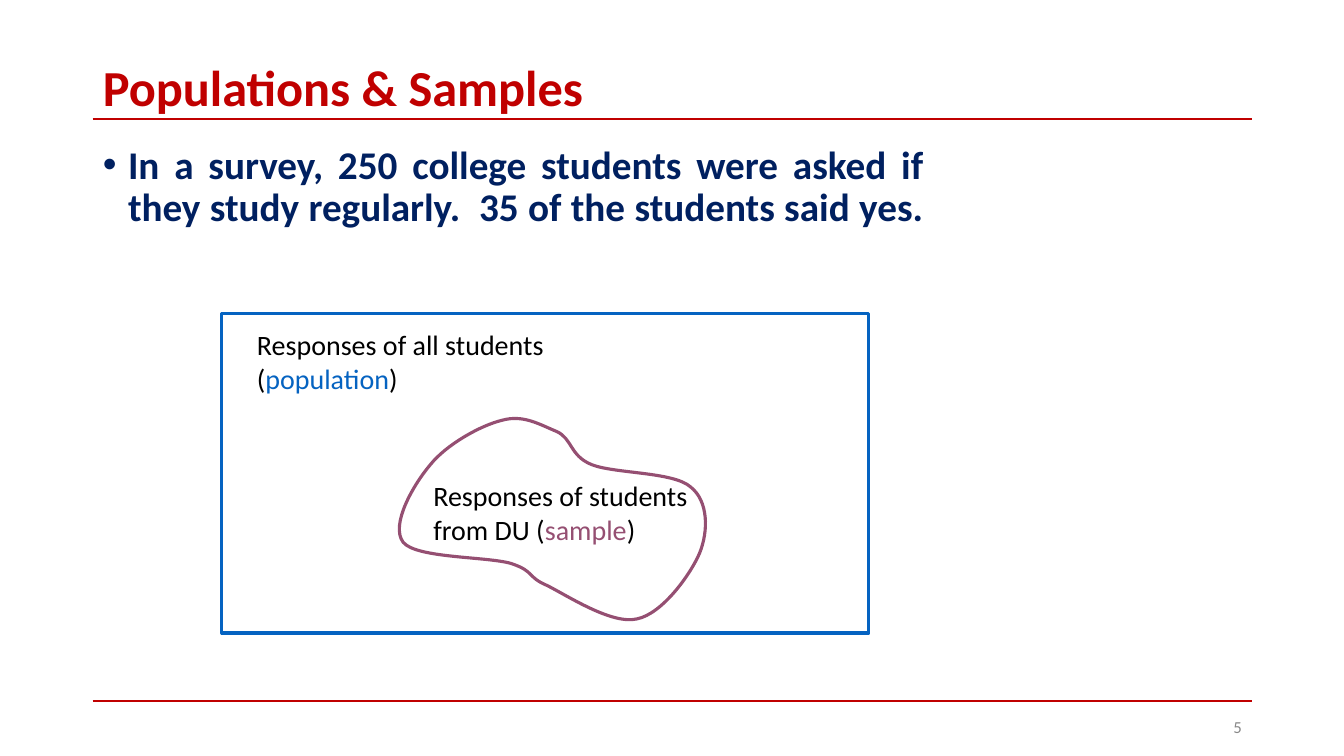
from lxml import etree
from pptx import Presentation
from pptx.dml.color import RGBColor
from pptx.enum.shapes import MSO_CONNECTOR, MSO_SHAPE
from pptx.enum.text import MSO_ANCHOR, MSO_AUTO_SIZE, PP_ALIGN
from pptx.oxml.ns import qn
from pptx.util import Emu, Pt

PX = 9144  # EMU in one px, 100 px to the inch
SLIDE_SIZE = (Emu(12192000), Emu(6858000))  # 16:9 widescreen
FONT = "Calibri"
RED, NAVY, BLUE, PLUM = "C00000", "002060", "0563C1", "954F72"
BLACK, GREY = "000000", "888888"
STRAIGHT, RECTANGLE = MSO_CONNECTOR.STRAIGHT, MSO_SHAPE.RECTANGLE
TOP, MIDDLE = MSO_ANCHOR.TOP, MSO_ANCHOR.MIDDLE
LEFT, RIGHT, JUSTIFY = PP_ALIGN.LEFT, PP_ALIGN.RIGHT, PP_ALIGN.JUSTIFY
NO_AUTOFIT = MSO_AUTO_SIZE.NONE

# Sample outline: start point, then two controls and an end point per curve
OUTLINE_START = (111, 6)
OUTLINE_CURVES = [
    ((90, 11), (56, 30), (40, 50)),
    ((23, 70), (0, 110), (13, 127)),
    ((26, 143), (96, 141), (120, 148)),
    ((144, 156), (135, 161), (156, 170)),
    ((176, 180), (220, 209), (245, 203)),
    ((270, 198), (298, 159), (307, 138)),
    ((316, 116), (316, 86), (298, 72)),
    ((281, 57), (223, 59), (200, 50)),
    ((178, 41), (181, 24), (165, 17)),
    ((148, 10), (132, 0), OUTLINE_START),
]


def px(*lengths):
    return [Emu(length * PX) for length in lengths]


def color(hex_string):
    return RGBColor.from_string(hex_string)


def style_font(paragraph, size, hex_string, bold=False):
    font = paragraph.font
    font.name, font.size, font.bold = FONT, Pt(size), bold
    font.color.rgb = color(hex_string)


def style_outline(shape, hex_string):
    shape.shadow.inherit = False
    shape.fill.background()
    shape.line.color.rgb = color(hex_string)
    shape.line.width = Pt(2.25)


def fill_placeholder(placeholder, box, text, alignment, anchor):
    placeholder.left, placeholder.top, placeholder.width, placeholder.height = px(*box)
    frame = placeholder.text_frame
    frame.auto_size = NO_AUTOFIT
    frame.vertical_anchor = anchor
    paragraph = frame.paragraphs[0]
    paragraph.text = text
    paragraph.alignment = alignment
    paragraph.line_spacing = 0.9
    paragraph.space_before = Pt(0)
    return paragraph


def add_text(slide, box, pieces, size, alignment=LEFT, anchor=TOP):
    """Add a text box of one paragraph from (text, colour) pieces."""
    frame = slide.shapes.add_textbox(*px(*box)).text_frame
    frame.word_wrap = True
    frame.vertical_anchor = anchor
    paragraph = frame.paragraphs[0]
    paragraph.alignment = alignment
    style_font(paragraph, size, pieces[0][1])
    for text, hex_string in pieces:
        run = paragraph.add_run()
        run.text = text
        run.font.color.rgb = color(hex_string)


def add_rule(slide, left, top, width):
    rule = slide.shapes.add_connector(STRAIGHT, *px(left, top, left + width, top))
    rule.line.color.rgb = color(RED)
    rule.line.width = Pt(1.5)
    etree.SubElement(rule._element.spPr, qn("a:effectLst"))


def add_title(slide, box):
    left, top, width, height = box
    add_rule(slide, left, top + 57, width)
    paragraph = fill_placeholder(slide.shapes.title, box, "Populations & Samples", LEFT, MIDDLE)
    style_font(paragraph, 36, RED, bold=True)


def add_body(slide, box):
    text = ("In a survey, 250 college students were asked if they study regularly.  "
            "35 of the students said yes.  ")
    paragraph = fill_placeholder(slide.placeholders[1], box, text, JUSTIFY, TOP)
    properties = paragraph._p.get_or_add_pPr()
    indent = px(25)[0]
    properties.set("marL", str(indent))
    properties.set("indent", str(-indent))
    bullet_color = etree.SubElement(properties, qn("a:buClr"))
    etree.SubElement(bullet_color, qn("a:srgbClr"), val=NAVY)
    etree.SubElement(properties, qn("a:buFont"), typeface="Arial")
    etree.SubElement(properties, qn("a:buChar"), char="•")
    style_font(paragraph, 28, NAVY, bold=True)


def add_path_step(path, tag, points):
    step = etree.SubElement(path, qn(tag))
    for x, y in points:
        etree.SubElement(step, qn("a:pt"), x=str(x), y=str(y))


def add_blob(slide, box):
    """Add a freeform of the box's size, then draw the curves in its path."""
    left, top, width, height = box
    builder = slide.shapes.build_freeform(0, 0, scale=PX)
    builder.add_line_segments([(width, 0), (width, height), (0, height)])
    blob = builder.convert_to_shape(*px(left, top))
    outline = next(blob._element.iter(qn("a:path")))
    for step in list(outline):
        outline.remove(step)
    add_path_step(outline, "a:moveTo", [OUTLINE_START])
    for curve in OUTLINE_CURVES:
        add_path_step(outline, "a:cubicBezTo", curve)
    add_path_step(outline, "a:close", [])
    style_outline(blob, PLUM)


def add_sample(slide, box):
    left, top, width, height = box
    add_blob(slide, box)
    add_text(slide, (left + 33, top + 59, 275, 77),
             [("Responses of students from DU (", BLACK), ("sample", PLUM), (")", BLACK)], 20)


def add_population(slide, box):
    left, top, width, height = box
    add_text(slide, (left + 25, top + 9, 342, 77),
             [("Responses of all students (", BLACK), ("population", BLUE), (")", BLACK)], 20)
    add_sample(slide, (left + 167, top + 100, 317, 208))
    style_outline(slide.shapes.add_shape(RECTANGLE, *px(*box)), BLUE)


def add_footer(slide, left, top, width):
    add_rule(slide, left, top, width)
    add_text(slide, (left + width - 300, top + 6, 300, 40), [("5", GREY)], 12, RIGHT, MIDDLE)


def main():
    presentation = Presentation()
    presentation.slide_width, presentation.slide_height = SLIDE_SIZE
    slide = presentation.slides.add_slide(presentation.slide_layouts[1])
    add_title(slide, (92, 61, 1150, 58))
    add_body(slide, (92, 139, 834, 537))
    add_population(slide, (220, 311, 642, 317))
    add_footer(slide, 92, 695, 1150)
    presentation.save("out.pptx")


if __name__ == "__main__":
    main()
